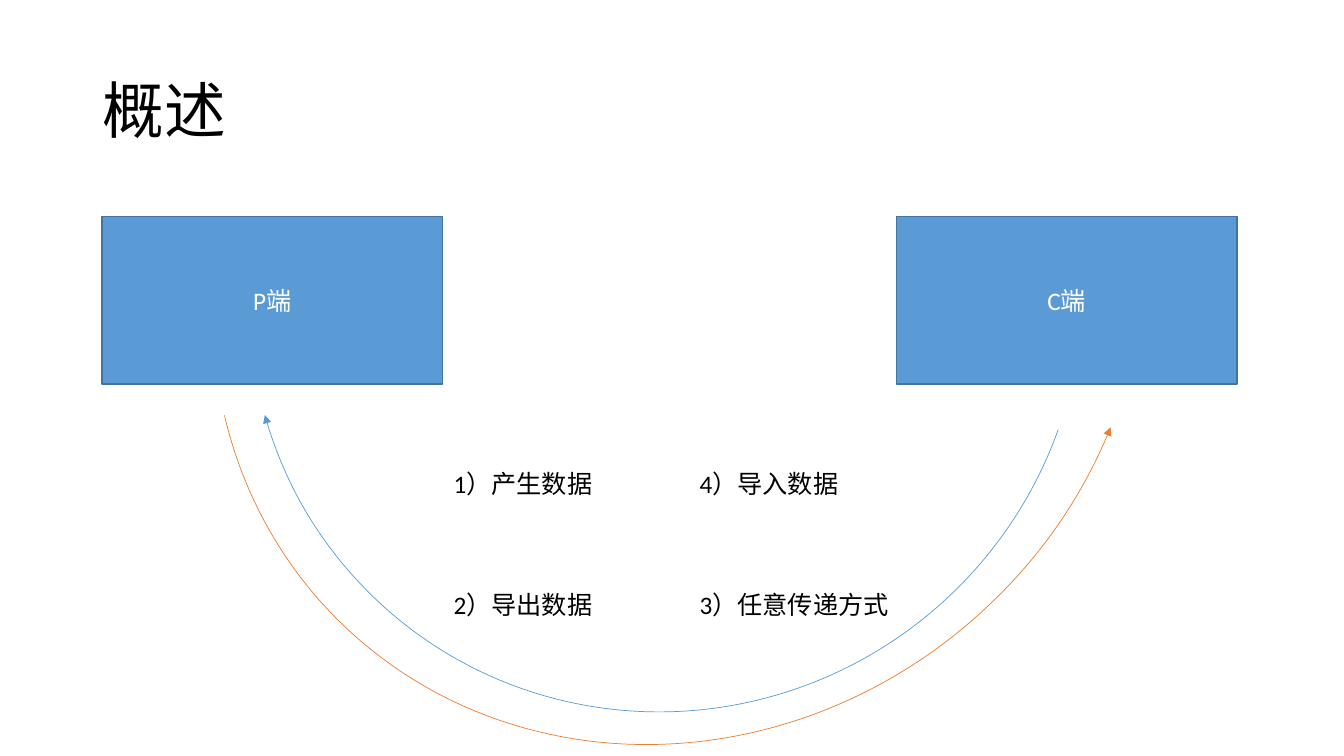
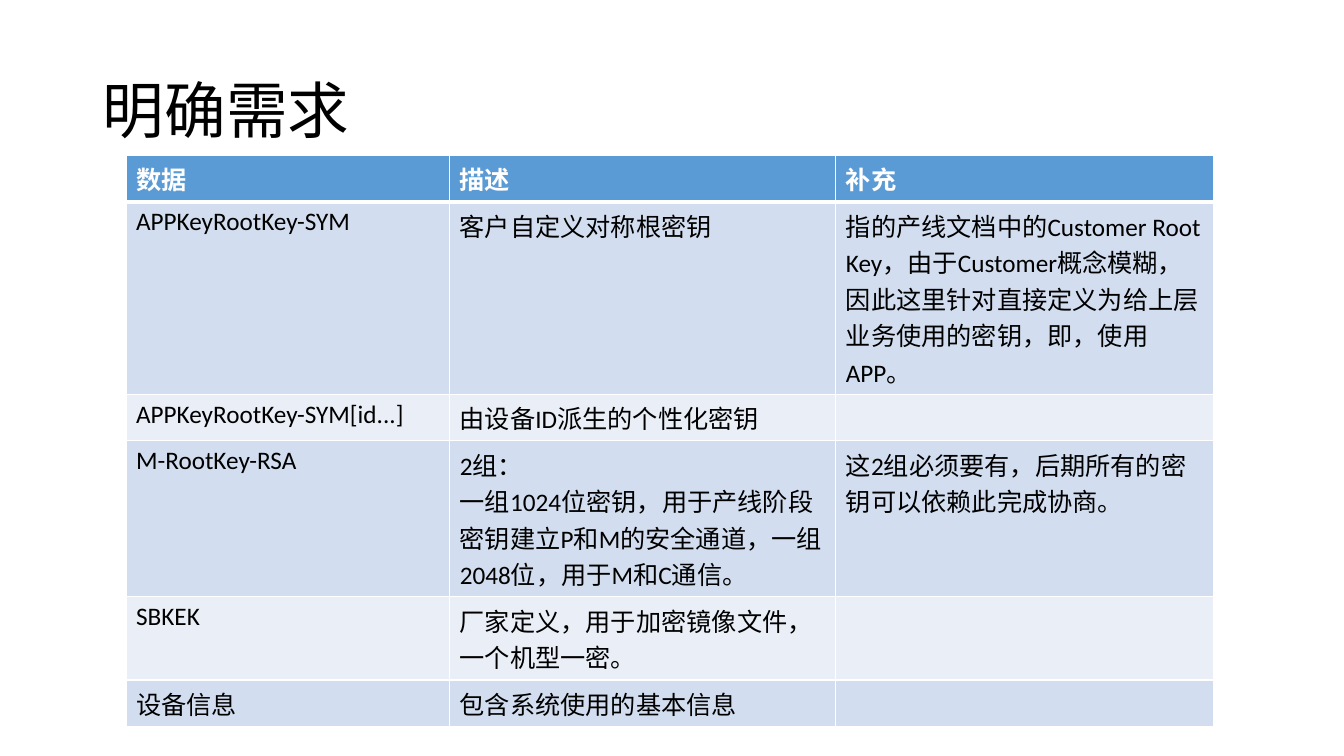
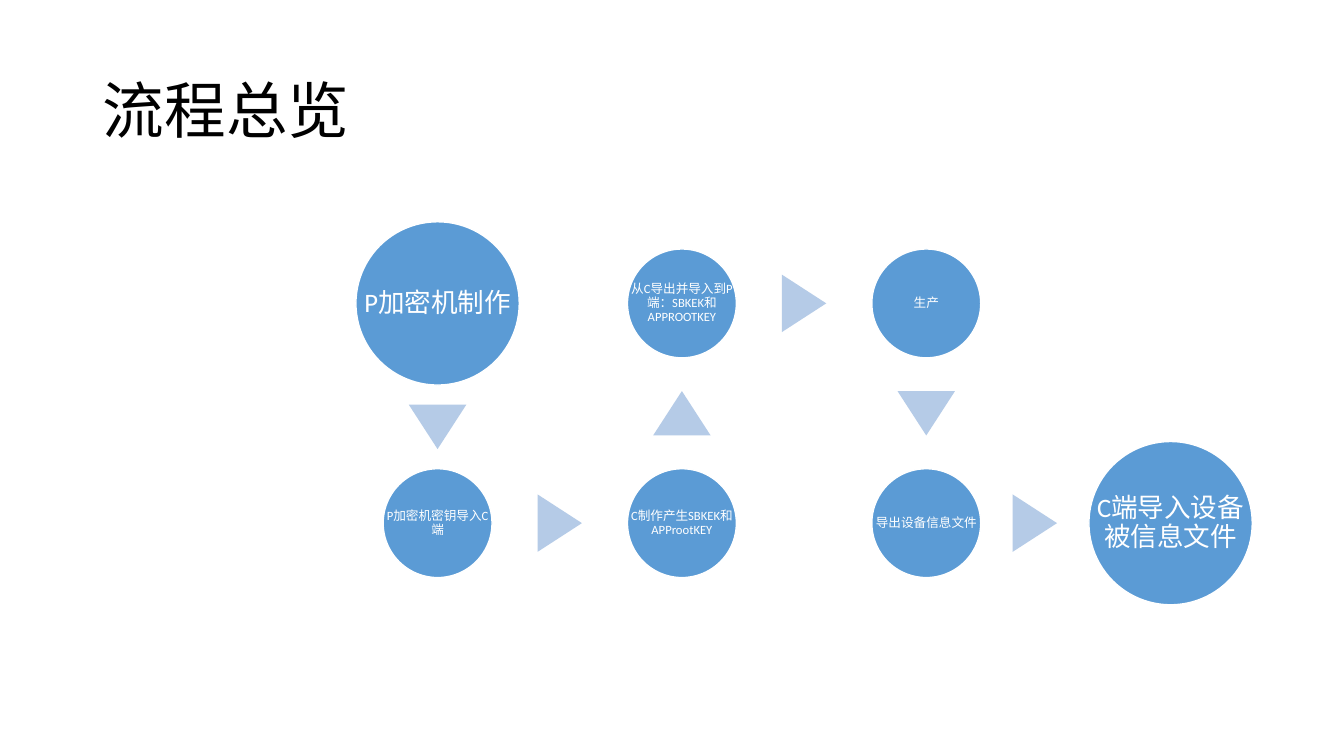
import math
from dataclasses import dataclass

import pptx
import pptx.dml.color
import pptx.enum.lang
import pptx.enum.shapes
import pptx.enum.text
import pptx.oxml
import pptx.oxml.ns
import pptx.util

Inches = pptx.util.Inches
Pt = pptx.util.Pt
Shape = pptx.enum.shapes.MSO_SHAPE
Align = pptx.enum.text.PP_ALIGN
Anchor = pptx.enum.text.MSO_ANCHOR
ZH = pptx.enum.lang.MSO_LANGUAGE_ID.SIMPLIFIED_CHINESE


@dataclass(frozen=True)
class Theme:
    """Colours and type sizes of the deck."""
    font: str = "Calibri"
    ink: str = "000000"
    white: str = "FFFFFF"
    blue: str = "5B9BD5"
    edge: str = "43739E"
    orange: str = "ED7D31"
    pale: str = "B5CBE7"
    bands: tuple = ("D2DEEF", "EAEFF7")
    title: int = 44
    body: int = 18
    large: int = 19
    small: int = 9


THEME = Theme()


def color(code):
    """Turn a hex code into a colour."""
    return pptx.dml.color.RGBColor.from_string(code)


def write(frame, text, size=THEME.body, ink=THEME.ink, bold=False,
          align=Align.LEFT, anchor=None, inset=None, lead=None):
    """Fill a text frame or cell frame, one paragraph a line."""
    frame.word_wrap = True
    if anchor is not None:
        frame.vertical_anchor = anchor
    if inset is not None:
        frame.margin_left = frame.margin_right = Inches(inset)
        frame.margin_top = frame.margin_bottom = Inches(inset)
    frame.text = text
    for para in frame.paragraphs:
        para.alignment = align
        if lead:
            para.line_spacing = lead
        for run in para.runs:
            font = run.font
            font.name, font.size, font.bold = THEME.font, Pt(size), bold
            font.color.rgb = color(ink)
            font.language_id = ZH


def draw(slide, kind, box, fill=None, line=None, width=1):
    """Add a flat preset shape in a box."""
    shape = slide.shapes.add_shape(kind, *map(Inches, box))
    shape.shadow.inherit = False
    if fill:
        shape.fill.solid()
        shape.fill.fore_color.rgb = color(fill)
    else:
        shape.fill.background()
    if line:
        shape.line.color.rgb = color(line)
        shape.line.width = Pt(width)
    else:
        shape.line.fill.background()
    return shape


def label(slide, box, text, **style):
    """Add a text box."""
    write(slide.shapes.add_textbox(*map(Inches, box)).text_frame, text, **style)


def page(deck, title):
    """Add a slide with its title."""
    slide = deck.slides.add_slide(deck.slide_layouts[5])
    head = slide.shapes.title
    head.left, head.top, head.width, head.height = map(
        Inches, (0.92, 0.4, 11.5, 1.45))
    write(head.text_frame, title, size=THEME.title, anchor=Anchor.MIDDLE, lead=0.9)
    return slide


def arc(slide, box, ink, end):
    """Draw the lower arc, with an arrowhead at the named end."""
    curve = draw(slide, Shape.ARC, box, line=ink, width=0.5)
    curve.rotation = 137
    curve.adjustments[0], curve.adjustments[1] = 145.113, 15.87
    tip = pptx.oxml.parse_xml(
        f'<a:{end} {pptx.oxml.ns.nsdecls("a")} type="triangle"/>')
    curve.line._get_or_add_ln().append(tip)


def ends(slide, box):
    """Draw the two end points at the sides of the box."""
    left, top, width, height = box
    side = 3.38
    for x, text in ((left + width - side, "C端"), (left, "P端")):
        block = draw(slide, Shape.RECTANGLE, (x, top, side, height),
                     THEME.blue, THEME.edge)
        write(block.text_frame, text, ink=THEME.white,
              align=Align.CENTER, anchor=Anchor.MIDDLE)


def steps(slide, box):
    """Place the four numbered steps in a two by two grid."""
    left, top, width, height = box
    spots = {"1）产生数据": (0, 0), "2）导出数据": (0, 1),
             "3）任意传递方式": (1, 1), "4）导入数据": (1, 0)}
    for text, (col, row) in spots.items():
        label(slide, (left + col * width / 2, top + row * (height - 0.4),
                      width / 2, 0.4), text)


def border(cell, low):
    """Give a cell white borders, the lower one of the given width."""
    props = cell._tc.get_or_add_tcPr()
    space = pptx.oxml.ns.nsdecls("a")
    for spot, (tag, width) in enumerate(
            (("lnL", 1), ("lnR", 1), ("lnT", 1), ("lnB", low))):
        props.insert(spot, pptx.oxml.parse_xml(
            f'<a:{tag} {space} w="{Pt(width)}"><a:solidFill>'
            f'<a:srgbClr val="{THEME.white}"/></a:solidFill></a:{tag}>'))


def grid(slide, box, cols, rows, data):
    """Build the banded table."""
    table = slide.shapes.add_table(
        len(rows), len(cols), *map(Inches, box)).table
    for col, width in zip(table.columns, cols):
        col.width = Inches(width)
    for r, (height, line) in enumerate(zip(rows, data)):
        table.rows[r].height = Inches(height)
        head = r == 0
        for c, text in enumerate(line):
            cell = table.cell(r, c)
            cell.fill.solid()
            cell.fill.fore_color.rgb = color(
                THEME.blue if head else THEME.bands[(r - 1) % 2])
            write(cell.text_frame, text, bold=head,
                  ink=THEME.white if head else THEME.ink)
            border(cell, 3 if head else 1)


def flow(slide, box, nodes):
    """Draw circles on a grid, each joined to the next by a triangle."""
    left, top, width, height = box
    last = None
    for col, row, big, text in nodes:
        x, y = left + col * width / 3, top + row * height
        size = 1.62 if big else 1.08
        if last:
            point(slide, last, (x, y, size / 2))
        area = (x - size / 2, y - size / 2, size, size)
        draw(slide, Shape.OVAL, area, THEME.blue, THEME.white)
        label(slide, area, text, size=THEME.large if big else THEME.small,
              ink=THEME.white, align=Align.CENTER, anchor=Anchor.MIDDLE,
              inset=0.03 if big else 0.01, lead=0.9)
        last = (x, y, size / 2)


def point(slide, start, stop):
    """Put a triangle midway between the rims of two circles."""
    (x, y, near), (u, v, far) = start, stop
    gap = math.hypot(u - x, v - y)
    part = (gap + near - far) / 2 / gap
    wide, high = 0.57, 0.44
    mark = draw(slide, Shape.ISOSCELES_TRIANGLE,
                (x + part * (u - x) - wide / 2, y + part * (v - y) - high / 2,
                 wide, high), THEME.pale)
    mark.rotation = round(math.degrees(math.atan2(v - y, u - x))) + 90


def outline(deck):
    """Build the overview slide."""
    slide = page(deck, "概述")
    ends(slide, (1.01, 2.15, 11.26, 1.66))
    steps(slide, (4.4, 4.6, 4.88, 1.6))
    arc(slide, (2.44, -1.16, 8.33, 8.19), THEME.blue, "tailEnd")
    arc(slide, (1.96, -1.67, 9.56, 8.9), THEME.orange, "headEnd")


def needs(deck):
    """Build the requirements slide."""
    slide = page(deck, "明确需求")
    grid(slide, (1.25, 1.54, 10.79, 5.16), (3.21, 3.83, 3.75),
         (0.44, 1.7, 0.44, 1.38, 0.74, 0.44), (
        ("数据", "描述", "补充"),
        ("APPKeyRootKey-SYM", "客户自定义对称根密钥",
         "指的产线文档中的Customer Root Key，由于Customer概念模糊，"
         "因此这里针对直接定义为给上层业务使用的密钥，即，使用APP。"),
        ("APPKeyRootKey-SYM[id...]", "由设备ID派生的个性化密钥", ""),
        ("M-RootKey-RSA",
         "2组：\n一组1024位密钥，用于产线阶段密钥建立P和M的安全通道，"
         "一组2048位，用于M和C通信。",
         "这2组必须要有，后期所有的密钥可以依赖此完成协商。"),
        ("SBKEK", "厂家定义，用于加密镜像文件，一个机型一密。", ""),
        ("设备信息", "包含系统使用的基本信息", "")))


def process(deck):
    """Build the process slide."""
    slide = page(deck, "流程总览")
    flow(slide, (4.34, 3.01, 7.27, 2.18), (
        (0, 0, True, "P加密机制作"),
        (0, 1, False, "P加密机密钥导入C端"),
        (1, 1, False, "C制作产生SBKEK和APProotKEY"),
        (1, 0, False, "从C导出并导入到P端：SBKEK和APPROOTKEY"),
        (2, 0, False, "生产"),
        (2, 1, False, "导出设备信息文件"),
        (3, 1, True, "C端导入设备被信息文件")))


def main():
    """Build and save the deck."""
    deck = pptx.Presentation()
    deck.slide_width, deck.slide_height = Inches(13.33), Inches(7.5)
    for build in (outline, needs, process):
        build(deck)
    deck.save("out.pptx")


main()
